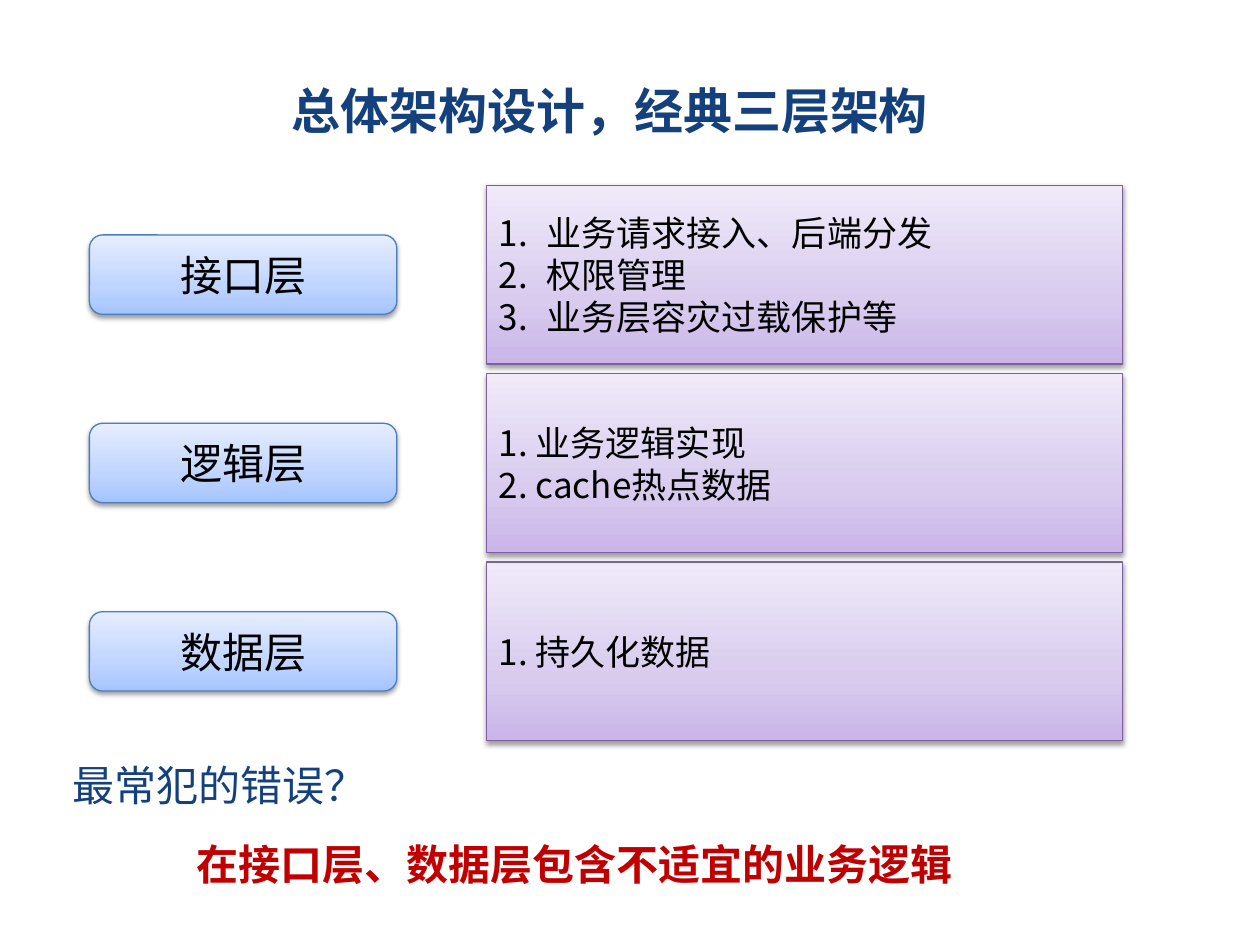
from lxml import etree
from pptx import Presentation
from pptx import util as u
from pptx.dml import color
from pptx.enum import shapes, text
from pptx.oxml import ns

FONT = "Noto Sans CJK SC"
NAVY, RED, BLACK = "14417D", "C00000", "000000"
BLUE = ("A4C4FF", "BFD4FF", "E6EEFF")
LILAC = ("C9B5E8", "D8CBEE", "F0EAF9")
LAYERS = [
    ("接口层", ["业务请求接入、后端分发", "权限管理", "业务层容灾过载保护等"], True),
    ("逻辑层", ["1. 业务逻辑实现", "2. cache热点数据"], False),
    ("数据层", ["1. 持久化数据"], False),
]


def rgb(code):
    """Turn a hex string into a colour."""
    return color.RGBColor.from_string(code)


def add(parent, tag, **attrs):
    """Append a DrawingML element and return it."""
    return etree.SubElement(parent, ns.qn("a:" + tag), attrs)


def write(frame, lines, size, ink, align=text.PP_ALIGN.LEFT, bold=False, hang=0, auto=False):
    """Fill a text frame with one paragraph per line."""
    frame.word_wrap = True
    frame.auto_size = text.MSO_AUTO_SIZE.NONE
    frame.vertical_anchor = text.MSO_ANCHOR.MIDDLE
    for i, line in enumerate(lines):
        para = frame.add_paragraph() if i else frame.paragraphs[0]
        para.alignment = align
        props = para._p.get_or_add_pPr()
        if hang:
            props.set("marL", str(u.Inches(hang)))
            props.set("indent", str(u.Inches(-hang)))
        if auto:
            add(props, "buFont", typeface="+mj-lt")
            add(props, "buAutoNum", type="arabicPeriod")
        run = para.add_run()
        run.text = line
        font = run.font
        font.name, font.size, font.bold = FONT, u.Pt(size), bold
        font.color.rgb = rgb(ink)
        add(run._r.get_or_add_rPr(), "ea", typeface=FONT)


def panel(slide, kind, box, tones, edge):
    """Draw a gradient box with a soft shadow below it."""
    shape = slide.shapes.add_shape(kind, *map(u.Inches, box))
    shape.fill.gradient()
    shape.fill.gradient_angle = 90
    props = shape._element.spPr
    stops = props.find(".//" + ns.qn("a:gsLst"))
    for stop in list(stops):
        stops.remove(stop)
    for pos, tone in zip((0, 35, 100), tones):
        add(add(stops, "gs", pos=str(pos * 1000)), "srgbClr", val=tone)
    shape.line.color.rgb = rgb(edge)
    shape.line.width = u.Pt(0.75)
    shape.shadow.inherit = False
    shade = add(props.find(ns.qn("a:effectLst")), "outerShdw",
                blurRad=str(u.Pt(3.1)), dist=str(u.Pt(1.6)), dir="5400000", rotWithShape="0")
    add(add(shade, "srgbClr", val=BLACK), "alpha", val="38000")
    return shape.text_frame


def heading(slide, box):
    """Place the slide title."""
    title = slide.shapes.title
    title.left, title.top, title.width, title.height = map(u.Inches, box)
    write(title.text_frame, ["总体架构设计，经典三层架构"], 28, NAVY,
          text.PP_ALIGN.CENTER, True, 0.5)


def layer(slide, box, name, duties, auto):
    """Draw a layer's label on the left and its duties on the right."""
    left, top, width, height = box
    tall, wide = 0.63, 5.05
    label = panel(slide, shapes.MSO_SHAPE.ROUNDED_RECTANGLE,
                  (left, top + (height - tall) / 2, 2.44, tall), BLUE, "4B7EBC")
    write(label, [name], 24, BLACK, text.PP_ALIGN.CENTER)
    body = panel(slide, shapes.MSO_SHAPE.RECTANGLE,
                 (left + width - wide, top, wide, height), LILAC, "7D60A0")
    write(body, duties, 20, BLACK, hang=0.38 if auto else 0, auto=auto)


def note(slide, box, line, ink, bold):
    """Place a remark below the layers."""
    frame = slide.shapes.add_textbox(*map(u.Inches, box)).text_frame
    write(frame, [line], 24, ink, bold=bold, hang=0.5)


def main():
    """Build and save the slide."""
    deck = Presentation()
    deck.slide_width, deck.slide_height = u.Inches(10), u.Inches(7.5)
    slide = deck.slides.add_slide(deck.slide_layouts[5])
    heading(slide, (0.74, 0.6, 8.2, 0.55))
    for i, (name, duties, auto) in enumerate(LAYERS):
        layer(slide, (0.71, 1.47 + i * 1.495, 8.2, 1.42), name, duties, auto)
    note(slide, (0.48, 5.95, 2.76, 0.55), "最常犯的错误？", NAVY, False)
    note(slide, (1.46, 6.58, 7.36, 0.55), "在接口层、数据层包含不适宜的业务逻辑", RED, True)
    deck.save("out.pptx")


if __name__ == "__main__":
    main()
